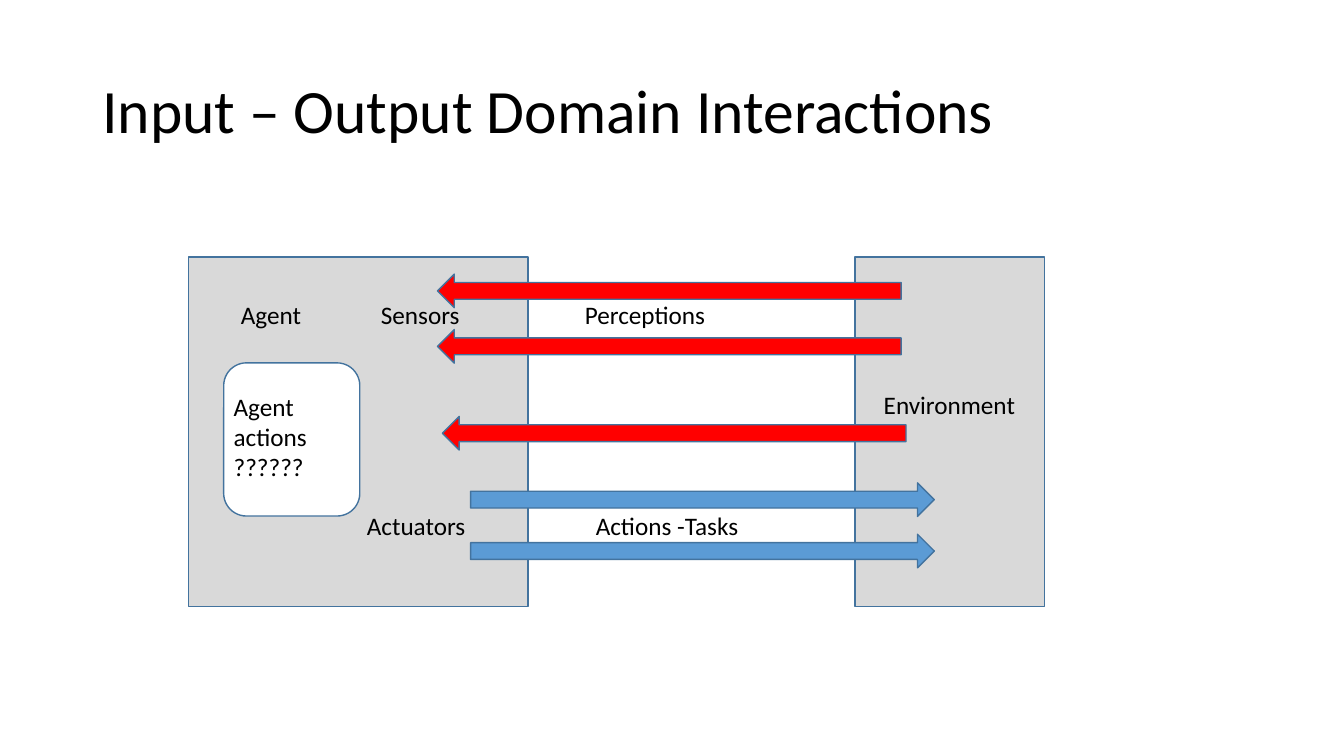
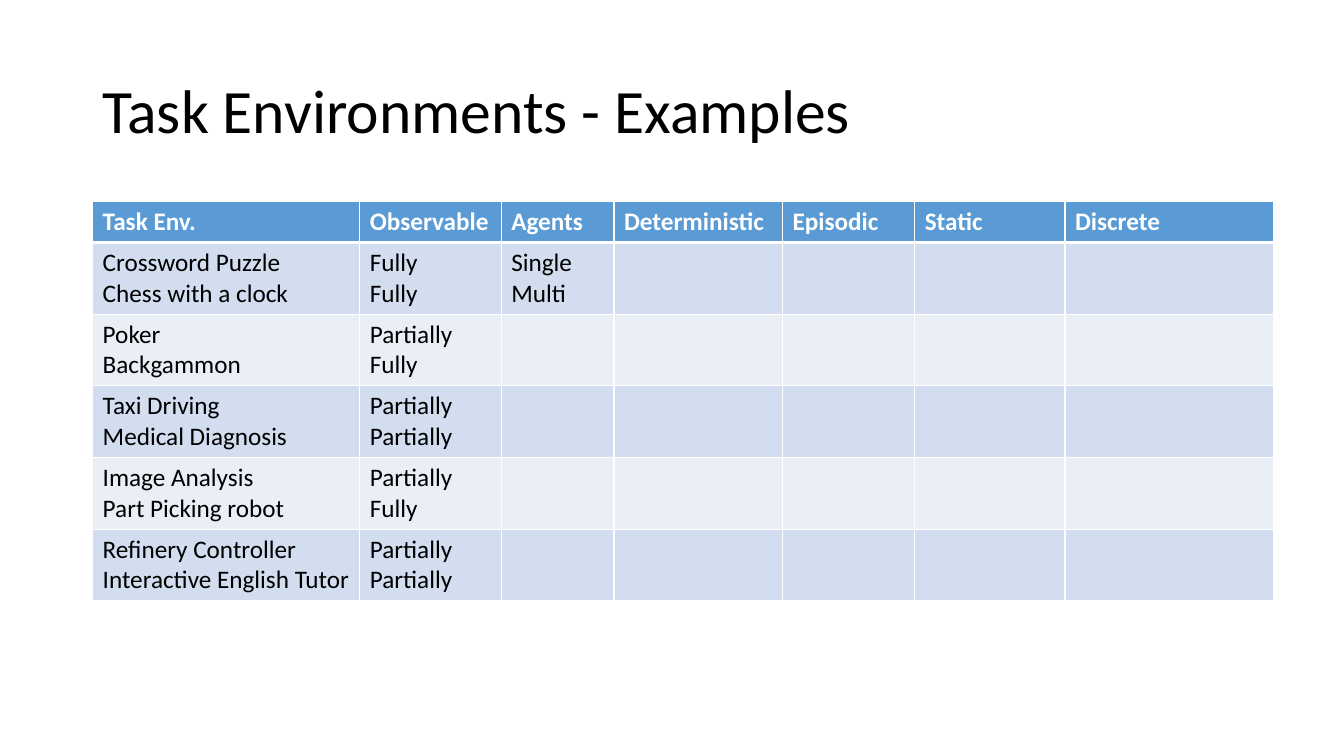
import pptx
import pptx.dml.color
import pptx.enum.shapes
import pptx.enum.text
import pptx.oxml.ns
import pptx.util
import lxml.etree

Pt = pptx.util.Pt
RGBColor = pptx.dml.color.RGBColor
Shape = pptx.enum.shapes.MSO_SHAPE
Anchor = pptx.enum.text.MSO_ANCHOR
qn = pptx.oxml.ns.qn

BLACK = RGBColor(0x00, 0x00, 0x00)
WHITE = RGBColor(0xFF, 0xFF, 0xFF)
GREY = RGBColor(0xD9, 0xD9, 0xD9)
RED = RGBColor(0xFF, 0x00, 0x00)
BLUE = RGBColor(0x5B, 0x9B, 0xD5)
OUTLINE = RGBColor(0x43, 0x73, 0x9E)
BANDS = (RGBColor(0xD2, 0xDE, 0xEF), RGBColor(0xEA, 0xEF, 0xF7))


class Deck:
    """The presentation, its shared style and the page being filled."""

    FONT = "Calibri"
    BODY_SIZE = 18
    TITLE_SIZE = 44

    def __init__(self):
        self.deck = pptx.Presentation()
        self.deck.slide_width, self.deck.slide_height = Pt(960), Pt(540)
        self.page = None

    def add_page(self, title):
        self.page = self.deck.slides.add_slide(self.deck.slide_layouts[6])
        box = self.add_text(title, 66, 28.8, 828, 104.4, self.TITLE_SIZE)
        box.text_frame.vertical_anchor = Anchor.MIDDLE
        box.text_frame.paragraphs[0].line_spacing = 0.9

    def set_text(self, frame, text, size=BODY_SIZE, color=BLACK, bold=False):
        """Fill a text frame, one paragraph per line of text."""
        frame.text = text
        for para in frame.paragraphs:
            font = para.font
            font.name, font.size, font.bold = self.FONT, Pt(size), bold
            font.color.rgb = color

    def add_text(self, text, left, top, width, height, size=BODY_SIZE):
        box = self.page.shapes.add_textbox(Pt(left), Pt(top), Pt(width), Pt(height))
        box.text_frame.word_wrap = True
        self.set_text(box.text_frame, text, size)
        return box

    def add_shape(self, kind, fill, left, top, width, height):
        shape = self.page.shapes.add_shape(
            kind, Pt(left), Pt(top), Pt(width), Pt(height))
        shape.shadow.inherit = False
        shape.fill.solid()
        shape.fill.fore_color.rgb = fill
        shape.line.color.rgb = OUTLINE
        shape.line.width = Pt(1)

    def set_borders(self, cell, top, bottom):
        """Draw white cell borders; top and bottom are widths in points."""
        properties = cell._tc.get_or_add_tcPr()
        sides = {"a:lnL": 1, "a:lnR": 1, "a:lnT": top, "a:lnB": bottom}
        for index, (side, width) in enumerate(sides.items()):
            line = lxml.etree.Element(qn(side), w=str(Pt(width)))
            fill = lxml.etree.SubElement(line, qn("a:solidFill"))
            lxml.etree.SubElement(fill, qn("a:srgbClr"), val=str(WHITE))
            properties.insert(index, line)

    def add_table(self, rows, left, top, widths, header_height, row_height):
        height = header_height + row_height * (len(rows) - 1)
        table = self.page.shapes.add_table(
            len(rows), len(widths), Pt(left), Pt(top),
            Pt(sum(widths)), Pt(height)).table
        for column, width in zip(table.columns, widths):
            column.width = Pt(width)
        for number, texts in enumerate(rows):
            header = number == 0
            table.rows[number].height = Pt(header_height if header else row_height)
            for index in range(len(widths)):
                cell = table.cell(number, index)
                text = texts[index] if index < len(texts) else ""
                self.set_text(cell.text_frame, text,
                              color=WHITE if header else BLACK, bold=header)
                cell.fill.solid()
                cell.fill.fore_color.rgb = BLUE if header else BANDS[(number - 1) % 2]
                self.set_borders(cell, top=3 if number == 1 else 1,
                                 bottom=3 if header else 1)


def add_interactions(deck):
    deck.add_page("Input – Output Domain Interactions")
    for left, width in ((134.6, 242.6), (610.6, 135.4)):
        deck.add_shape(Shape.RECTANGLE, GREY, left, 183.6, width, 249.8)

    labels = (
        ("Agent", 165, 210.2),
        ("Sensors", 265, 210.2),
        ("Perceptions", 410.7, 210.2),
        ("Environment", 624.2, 274.6),
        ("Actuators", 255, 361),
        ("Actions -Tasks", 418.5, 361),
    )
    for text, left, top in labels:
        deck.add_text(text, left, top, 130, 29)

    for left, top in ((316, 297.4), (312.5, 195.8), (312.5, 235.4)):
        deck.add_shape(Shape.LEFT_ARROW, RED, left, top, 331.2, 24)
    for top in (344.9, 381.6):
        deck.add_shape(Shape.RIGHT_ARROW, BLUE, 336.2, top, 331.2, 24)

    deck.add_shape(Shape.ROUNDED_RECTANGLE, WHITE, 159.8, 259.2, 97.2, 109.4)
    deck.add_text("Agent actions\n??????", 159.8, 275.8, 100.8, 72.7)


def add_examples(deck):
    deck.add_page("Task Environments - Examples")
    rows = (
        ("Task Env.", "Observable", "Agents", "Deterministic",
         "Episodic", "Static", "Discrete"),
        ("Crossword Puzzle\nChess with a clock", "Fully\nFully", "Single\nMulti"),
        ("Poker\nBackgammon", "Partially\nFully"),
        ("Taxi Driving\nMedical Diagnosis", "Partially\nPartially"),
        ("Image Analysis\nPart Picking robot", "Partially\nFully"),
        ("Refinery Controller\nInteractive English Tutor", "Partially\nPartially"),
    )
    widths = (190.8, 101, 80.6, 120.4, 94.4, 107.4, 149.2)
    deck.add_table(rows, 66.2, 144, widths, header_height=29.2, row_height=51.2)


def main():
    deck = Deck()
    add_interactions(deck)
    add_examples(deck)
    deck.deck.save("out.pptx")


if __name__ == "__main__":
    main()
